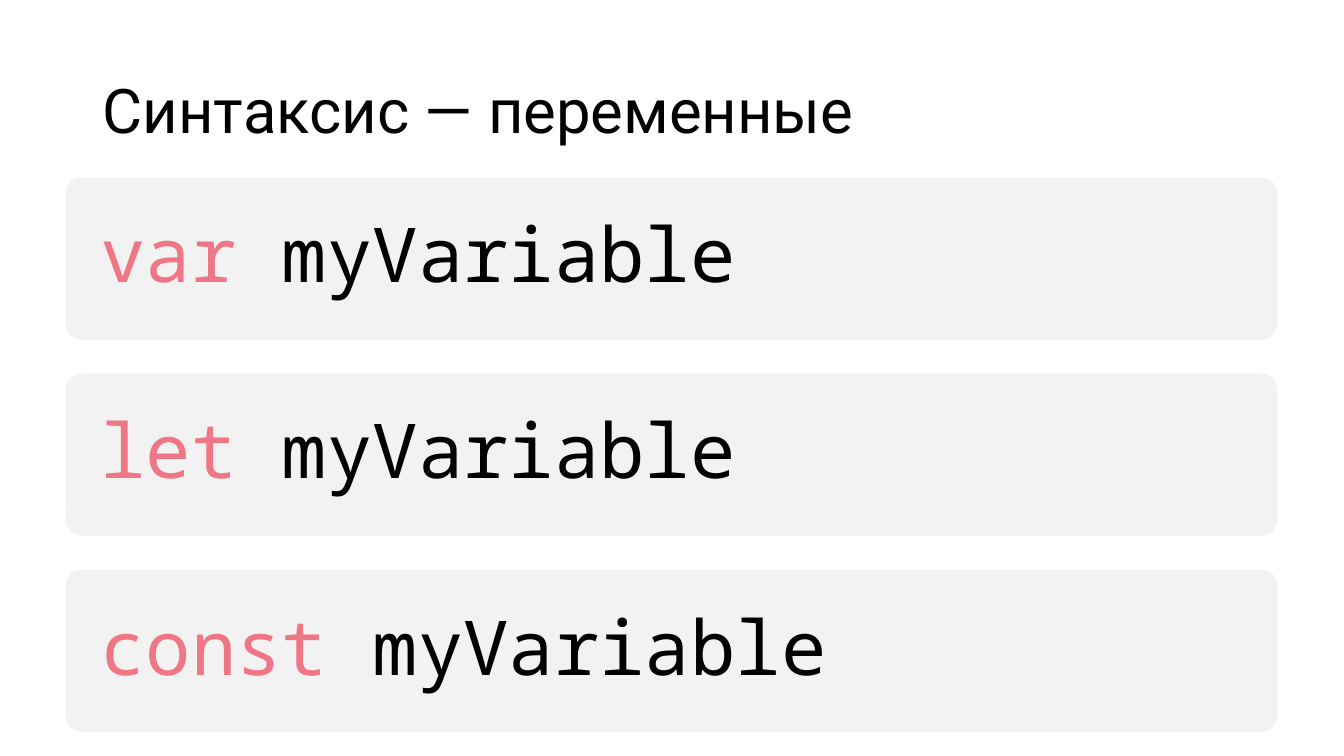
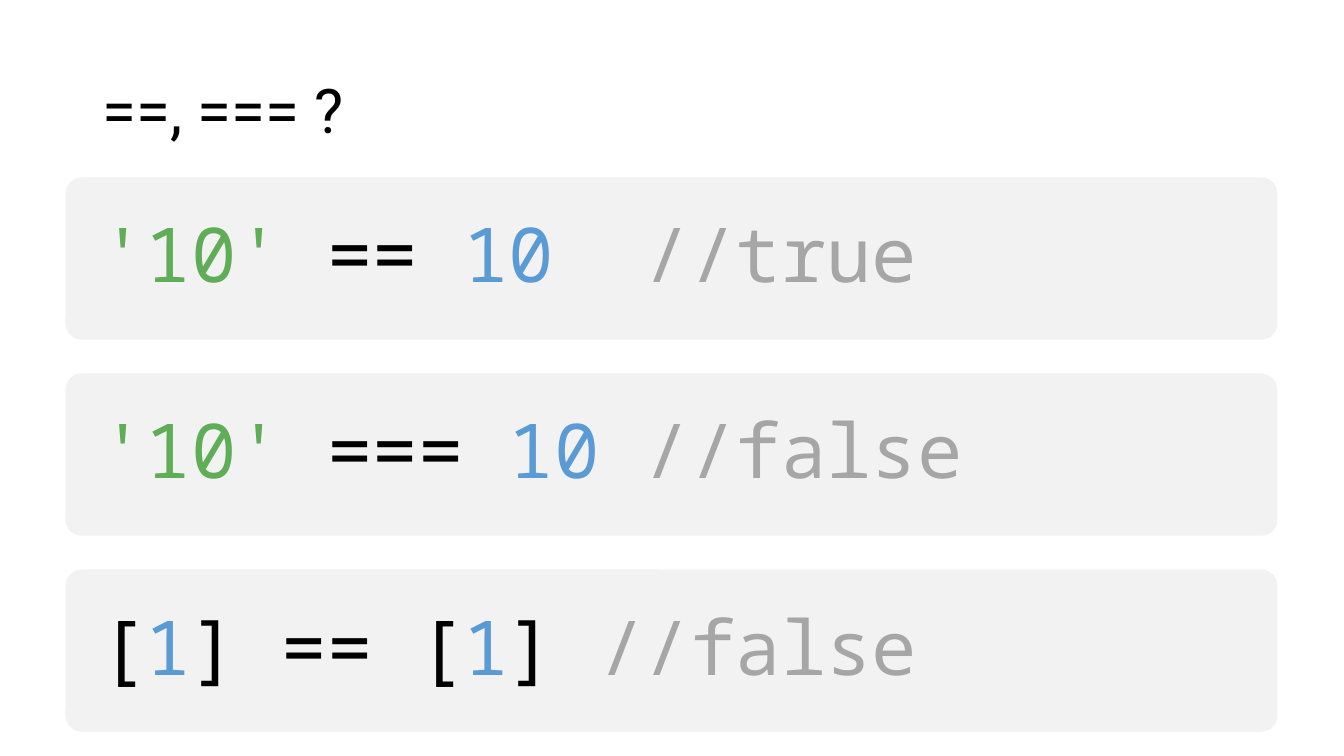
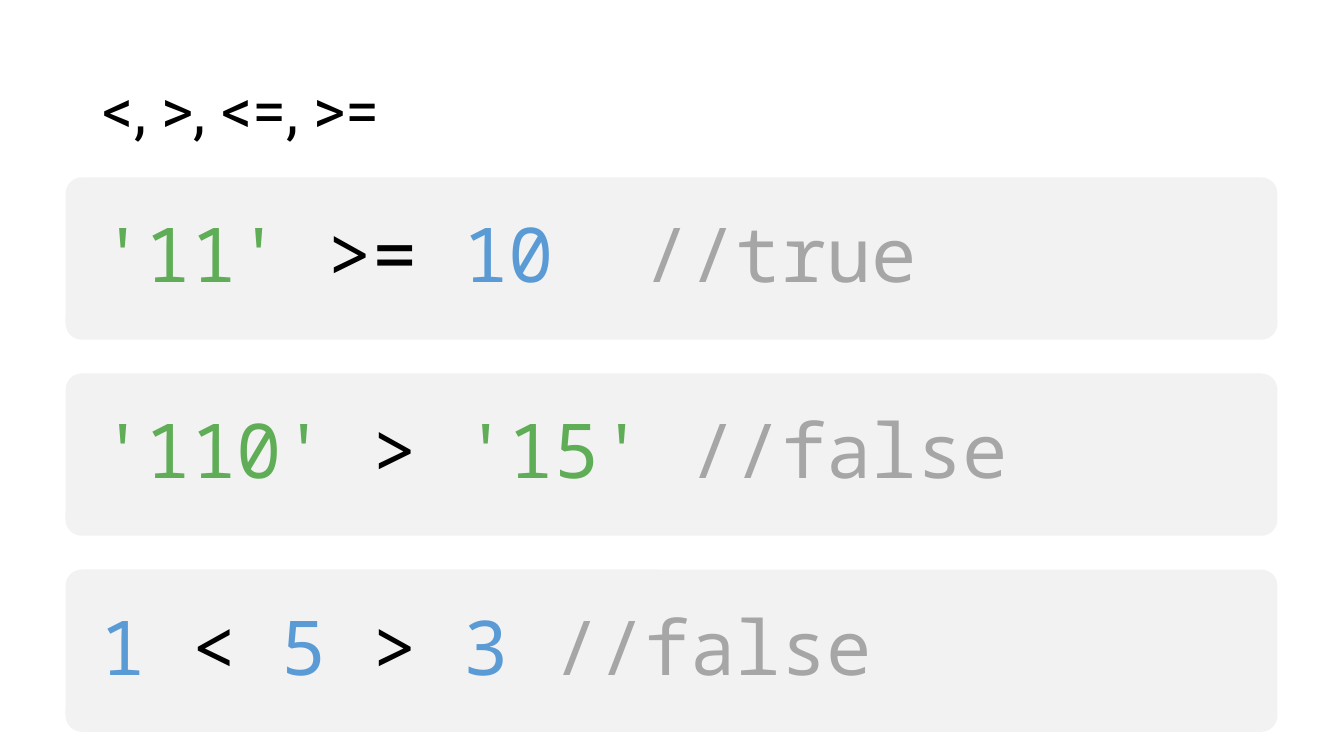
from pptx import Presentation
from pptx.dml.color import RGBColor
from pptx.enum.shapes import MSO_SHAPE
from pptx.enum.text import MSO_ANCHOR, MSO_AUTO_SIZE, PP_ALIGN
from pptx.util import Inches, Pt

ROUNDED = MSO_SHAPE.ROUNDED_RECTANGLE
TOP, MIDDLE = MSO_ANCHOR.TOP, MSO_ANCHOR.MIDDLE
LEFT = PP_ALIGN.LEFT
NO_FIT = MSO_AUTO_SIZE.NONE
TITLE_ONLY = 5

COLORS = {
    "panel": "F2F2F2",
    "plain": "000000",
    "keyword": "EF7684",
    "string": "5FAD56",
    "number": "5B9BD5",
    "comment": "A6A6A6",
}
TITLE_FONT, CODE_FONT = "Roboto", "Noto Sans Mono"

# Boxes: left, top, width, height in inches
SLIDE_W, SLIDE_H = 13.33, 7.5
TITLE_BOX = (0.92, 0.4, 11.5, 1.45)
CODE_BOX = (0.65, 1.76, 12.02, 5.5)
PANEL_H = 1.61

# Each slide: title and code lines, each line a list of (text, token kind)
SLIDES = [
    ("Синтаксис — переменные", [
        [("var ", "keyword"), ("myVariable", "plain")],
        [("let ", "keyword"), ("myVariable", "plain")],
        [("const ", "keyword"), ("myVariable", "plain")],
    ]),
    ("==, === ?", [
        [("'10' ", "string"), ("== ", "plain"), ("10  ", "number"), ("//true", "comment")],
        [("'10' ", "string"), ("=== ", "plain"), ("10 ", "number"), ("//false", "comment")],
        [("[", "plain"), ("1", "number"), ("] == [", "plain"), ("1", "number"),
         ("] ", "plain"), ("//false", "comment")],
    ]),
    ("<, >, <=, >=", [
        [("'11' ", "string"), (">= ", "plain"), ("10  ", "number"), ("//true", "comment")],
        [("'110' ", "string"), ("> ", "plain"), ("'15' ", "string"), ("//false", "comment")],
        [("1", "number"), (" < ", "plain"), ("5", "number"), (" > ", "plain"),
         ("3 ", "number"), ("//false", "comment")],
    ]),
]


def rgb(name):
    return RGBColor.from_string(COLORS[name])


def write(tf, tokens, font, size, anchor, spacing=1.0):
    """Fill a text frame with one left-aligned line of coloured tokens."""
    tf.word_wrap = True
    tf.auto_size = NO_FIT
    tf.vertical_anchor = anchor
    p = tf.paragraphs[0]
    p.alignment = LEFT
    p.line_spacing = spacing
    for text, kind in tokens:
        r = p.add_run()
        r.text = text
        r.font.name = font
        r.font.size = Pt(size)
        r.font.color.rgb = rgb(kind)


def add_title(s, text, box):
    sp = s.shapes.title
    sp.left, sp.top, sp.width, sp.height = map(Inches, box)
    write(sp.text_frame, [(text, "plain")], TITLE_FONT, 44, MIDDLE, spacing=0.9)


def add_panel(s, tokens, box):
    sp = s.shapes.add_shape(ROUNDED, *map(Inches, box))
    sp.adjustments[0] = 0.1
    sp.shadow.inherit = False
    sp.fill.solid()
    sp.fill.fore_color.rgb = rgb("panel")
    sp.line.fill.background()
    tf = sp.text_frame
    tf.margin_left = tf.margin_right = Inches(0.3)
    tf.margin_top = tf.margin_bottom = Inches(0.25)
    write(tf, tokens, CODE_FONT, 54, TOP)


def add_code(s, lines, box):
    """Spread one panel per line evenly over the height of the box."""
    left, top, width, height = box
    step = (height - PANEL_H) / (len(lines) - 1)
    for i, tokens in enumerate(lines):
        add_panel(s, tokens, (left, top + i * step, width, PANEL_H))


def main():
    prs = Presentation()
    prs.slide_width, prs.slide_height = Inches(SLIDE_W), Inches(SLIDE_H)
    for title, lines in SLIDES:
        s = prs.slides.add_slide(prs.slide_layouts[TITLE_ONLY])
        add_title(s, title, TITLE_BOX)
        add_code(s, lines, CODE_BOX)
    prs.save("out.pptx")


if __name__ == "__main__":
    main()
